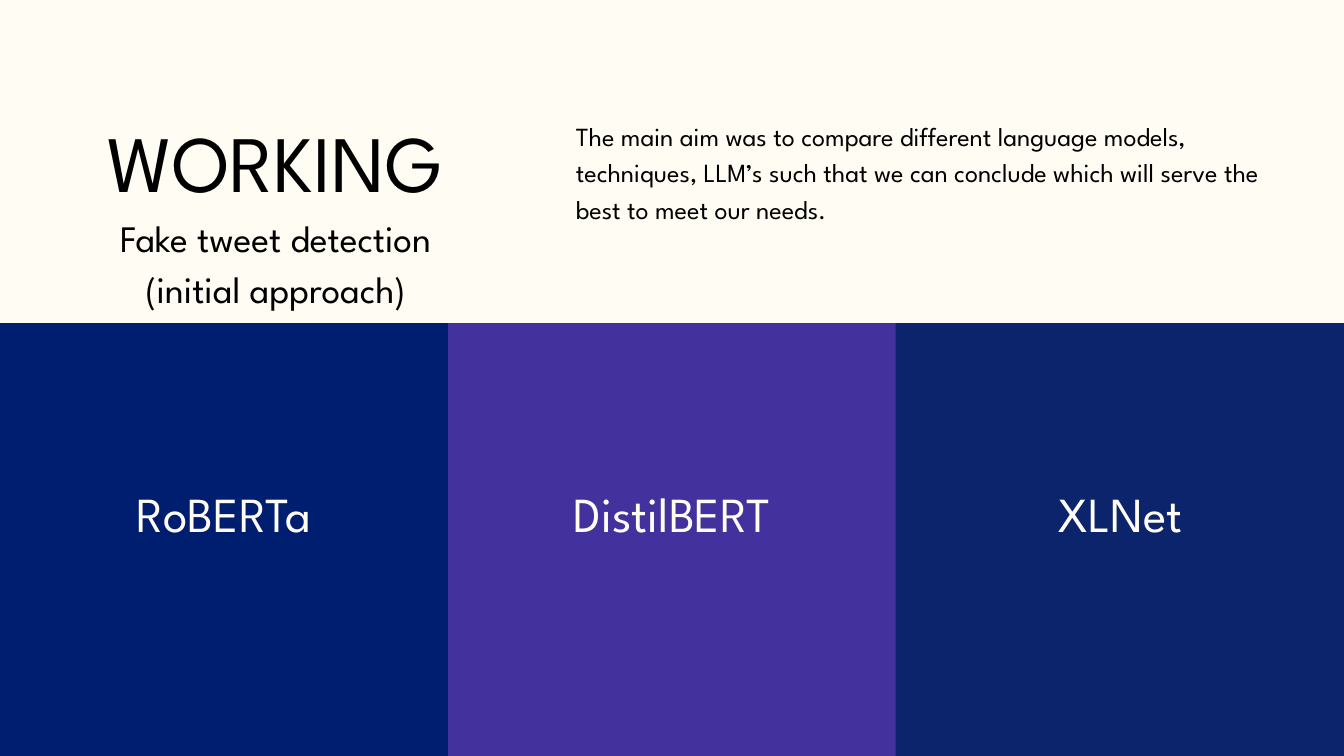
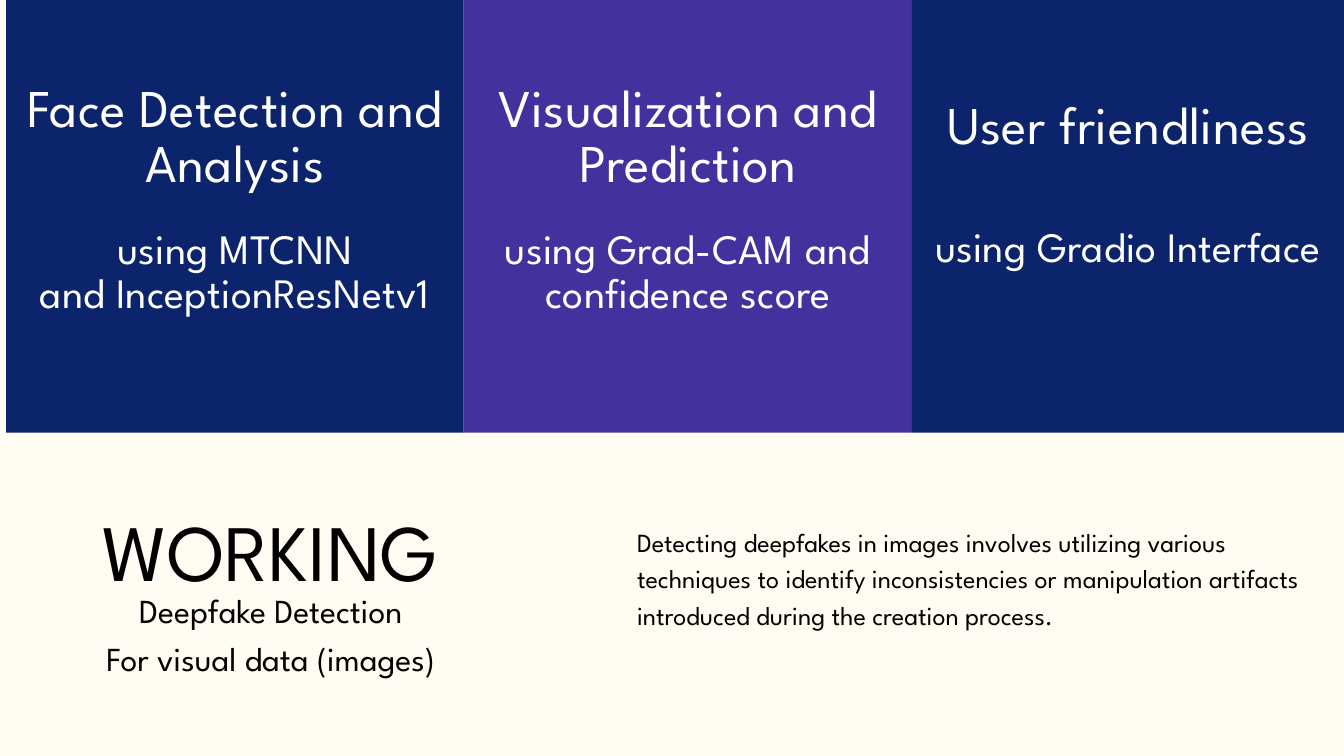
from pptx import Presentation
from pptx.dml.color import RGBColor
from pptx.enum.shapes import MSO_SHAPE
from pptx.enum.text import PP_ALIGN
from pptx.util import Inches, Pt

CREAM = RGBColor(0xFF, 0xFC, 0xF3)
WHITE = RGBColor(0xFF, 0xFF, 0xFF)
BLACK = RGBColor(0x00, 0x00, 0x00)
BLUE = RGBColor(0x00, 0x1E, 0x70)
PURPLE = RGBColor(0x43, 0x31, 0x9D)
NAVY = RGBColor(0x0C, 0x24, 0x6B)
FONT = "League Spartan"
PANEL_H = 6.44


def add_box(s, x, y, w, h):
    tf = s.shapes.add_textbox(Inches(x), Inches(y), Inches(w), Inches(h)).text_frame
    tf.word_wrap = True
    tf.margin_left = tf.margin_right = tf.margin_top = tf.margin_bottom = 0
    return tf


def add_text(tf, text, size, leading, color=BLACK, align=PP_ALIGN.CENTER, before=0, spc=0):
    p = tf.paragraphs[0]
    if p.runs:
        p = tf.add_paragraph()
    p.alignment = align
    p.line_spacing = Pt(leading)
    if before:
        p.space_before = Pt(before)
    r = p.add_run()
    r.text = text
    r.font.name = FONT
    r.font.size = Pt(size)
    r.font.color.rgb = color
    if spc:
        r.font._element.set("spc", str(spc))


prs = Presentation()
prs.slide_width = Inches(20)
prs.slide_height = Inches(11.25)

panel_rows = [
    (4.81, [(0, 6.67, BLUE), (6.67, 6.67, PURPLE), (13.33, 6.67, NAVY)]),
    (0, [(0.09, 6.81, NAVY), (6.9, 6.67, PURPLE), (13.57, 6.43, NAVY)]),
]
headings = [
    ((0.32, 1.68), (0.68, 3.09, 6.84, 1.52), 40, 55.6,
     ["Fake tweet detection", "(initial approach)"]),
    ((0.25, 7.47), (0.48, 8.67, 7.1, 1.36), 36, 51.4,
     ["Deepfake Detection", "For visual data (images)"]),
]
intros = [
    (8.57, 1.71, "The main aim was to compare different language models, techniques, "
     "LLM’s such that we can conclude which will serve the best to meet our needs."),
    (9.48, 7.75, "Detecting deepfakes in images involves utilizing various techniques to "
     "identify inconsistencies or manipulation artifacts introduced during the creation process."),
]

for (top, panels), (title_at, sub_box, size, leading, subtitles), (x, y, intro) in zip(
        panel_rows, headings, intros):
    s = prs.slides.add_slide(prs.slide_layouts[6])
    s.background.fill.solid()
    s.background.fill.fore_color.rgb = CREAM
    for left, width, color in panels:
        sp = s.shapes.add_shape(MSO_SHAPE.RECTANGLE, Inches(left), Inches(top),
                                Inches(width), Inches(PANEL_H))
        sp.shadow.inherit = False
        sp.fill.solid()
        sp.fill.fore_color.rgb = color
        sp.line.fill.background()
    add_text(add_box(s, *title_at, 7.55, 1.35), "WORKING", size=85.7, leading=102.8)
    tf = add_box(s, *sub_box)
    for subtitle in subtitles:
        add_text(tf, subtitle, size=size, leading=leading)
    add_text(add_box(s, x, y, 10.27, 2.16), intro, size=28, leading=39.2, align=PP_ALIGN.LEFT)

models_slide, steps_slide = prs.slides

for i, model in enumerate(["RoBERTa", "DistilBERT", "XLNet"]):
    tf = add_box(models_slide, 0.9 + i * 6.67, 7.05, 4.87, 0.93)
    add_text(tf, model, size=52.4, leading=73.3, color=CREAM)

steps = [
    (0.28, 1.22, 4.21, "Face Detection and Analysis", 38.6,
     ["using MTCNN", "and InceptionResNetv1"]),
    (7.02, 1.22, 4.21, "Visualization and Prediction", 38.6,
     ["using Grad-CAM and confidence score"]),
    (13.57, 1.48, 3.25, "User friendliness", 77.2, ["using Gradio Interface"]),
]
for x, y, h, step, gap, tools in steps:
    tf = add_box(steps_slide, x, y, 6.44, h)
    add_text(tf, step, size=56.8, leading=59.6, color=WHITE, spc=50)
    for i, tool in enumerate(tools):
        add_text(tf, tool, size=44.8, leading=47, color=WHITE, spc=30,
                 before=0 if i else gap)

prs.save("out.pptx")
